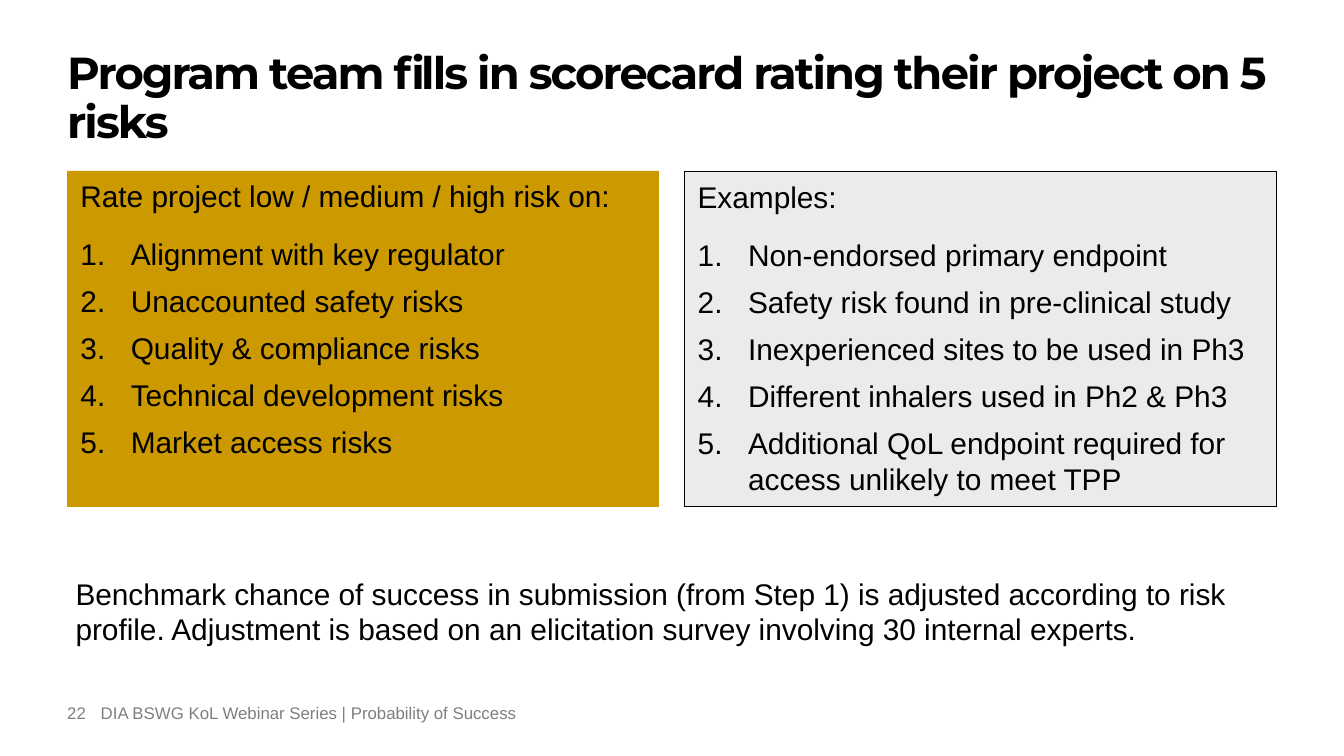
import pptx
import pptx.dml.color
import pptx.enum.shapes
import pptx.enum.text
import pptx.oxml
import pptx.oxml.ns
import pptx.util

Pt = pptx.util.Pt
BLACK = pptx.dml.color.RGBColor(0x00, 0x00, 0x00)
GREY = pptx.dml.color.RGBColor(0x7F, 0x7F, 0x7F)
GOLD = pptx.dml.color.RGBColor(0xCC, 0x99, 0x00)
LIGHT = pptx.dml.color.RGBColor(0xEB, 0xEB, 0xEB)

TITLE = {"name": "Montserrat", "size": Pt(24), "bold": True}
BODY = {"name": "Arial", "size": Pt(16)}
FOOTER = {"name": "Arial", "size": Pt(9)}
INDENT = Pt(27)

deck = pptx.Presentation()
deck.slide_width, deck.slide_height = Pt(720), Pt(405)
page = deck.slides.add_slide(deck.slide_layouts[6])


def prepare_frame(box, side, edge):
    frame = box.text_frame
    settings = {
        "word_wrap": True,
        "vertical_anchor": pptx.enum.text.MSO_ANCHOR.TOP,
        "margin_left": Pt(side), "margin_right": Pt(side),
        "margin_top": Pt(edge), "margin_bottom": Pt(edge),
    }
    for name, value in settings.items():
        setattr(frame, name, value)
    return frame


def write_para(para, text, style, color):
    para.alignment = pptx.enum.text.PP_ALIGN.LEFT
    span = para.add_run()
    span.text = text
    for name, value in style.items():
        setattr(span.font, name, value)
    span.font.color.rgb = color
    return span


# Title
box = page.shapes.add_textbox(Pt(36), Pt(27.4), Pt(648), Pt(75.6))
para = prepare_frame(box, 0, 0).paragraphs[0]
para.line_spacing = 0.9
span = write_para(para, "Program team fills in scorecard rating their project on 5 risks", TITLE, BLACK)
span.font._element.set("spc", "-100")

# Footer and page number
for left, width, text in [
    (54, 299, "DIA BSWG KoL Webinar Series | Probability of Success"),
    (36, 18, "22"),
]:
    box = page.shapes.add_textbox(Pt(left), Pt(376.6), Pt(width), Pt(18))
    write_para(prepare_frame(box, 0, 0).paragraphs[0], text, FOOTER, GREY)

# Panels with a heading and a numbered list
panels = [
    (36, 91.6, 317, 180, GOLD, False, "Rate project low / medium / high risk on:", [
        "Alignment with key regulator",
        "Unaccounted safety risks",
        "Quality & compliance risks",
        "Technical development risks",
        "Market access risks",
    ]),
    (366.7, 92, 317.3, 179.4, LIGHT, True, "Examples:", [
        "Non-endorsed primary endpoint",
        "Safety risk found in pre-clinical study",
        "Inexperienced sites to be used in Ph3",
        "Different inhalers used in Ph2 & Ph3",
        "Additional QoL endpoint required for access unlikely to meet TPP",
    ]),
]
for left, top, width, height, fill, outlined, heading, items in panels:
    panel = page.shapes.add_shape(
        pptx.enum.shapes.MSO_SHAPE.RECTANGLE, Pt(left), Pt(top), Pt(width), Pt(height))
    panel.shadow.inherit = False
    panel.fill.solid()
    panel.fill.fore_color.rgb = fill
    if outlined:
        panel.line.color.rgb = BLACK
        panel.line.width = Pt(0.75)
    else:
        panel.line.fill.background()
    frame = prepare_frame(panel, 7.2, 3.6)
    para = frame.paragraphs[0]
    para.space_after = Pt(12)
    write_para(para, heading, BODY, BLACK)
    for item in items:
        para = frame.add_paragraph()
        para.space_after = Pt(6)
        properties = para._p.get_or_add_pPr()
        properties.set("marL", str(INDENT))
        properties.set("indent", str(-INDENT))
        properties.append(pptx.oxml.parse_xml(
            f'<a:buAutoNum {pptx.oxml.ns.nsdecls("a")} type="arabicPeriod"/>'))
        write_para(para, item, BODY, BLACK)
    para.space_after = Pt(0)

# Closing note
box = page.shapes.add_textbox(Pt(33.4), Pt(304.6), Pt(653), Pt(46))
write_para(
    prepare_frame(box, 7.2, 3.6).paragraphs[0],
    "Benchmark chance of success in submission (from Step 1) is adjusted according to risk profile. "
    "Adjustment is based on an elicitation survey involving 30 internal experts.",
    BODY, BLACK)

deck.save("out.pptx")
